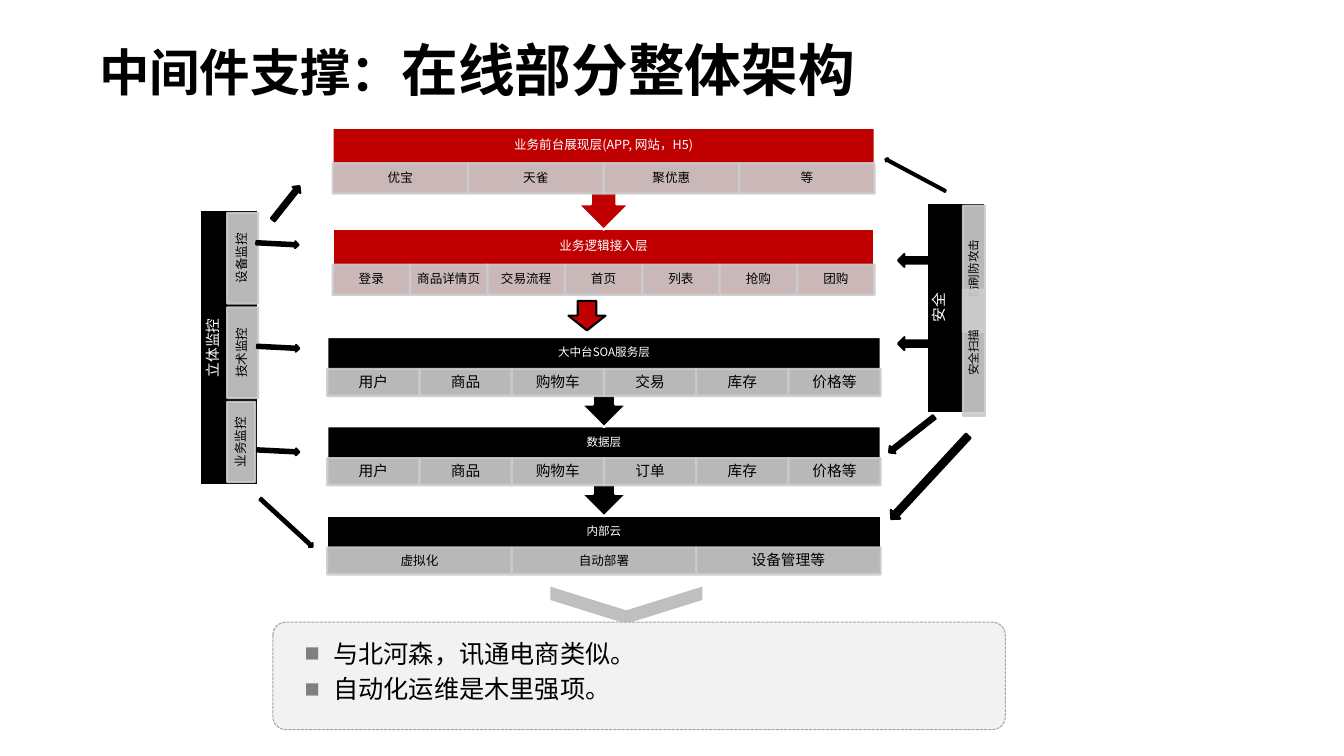
from pptx import Presentation
from pptx.dml.color import RGBColor
from pptx.enum.dml import MSO_LINE
from pptx.enum.shapes import MSO_SHAPE
from pptx.enum.text import MSO_ANCHOR, MSO_AUTO_SIZE, PP_ALIGN
from pptx.oxml.ns import qn
from pptx.util import Inches, Pt
from lxml.etree import SubElement

COLORS = {"black": "000000", "white": "FFFFFF", "red": "C00000", "cell": "CCCCCC",
          "chevron": "BFBFBF", "panel": "F2F2F2", "dash": "A6A6A6", "bullet": "808080"}
NOTO, CABIN = "Noto Sans CJK SC", "Cabin"

TITLE = [("中间件支撑：", 48), ("在线部分整体架构", 54)]
NOTES = ["与北河森，讯通电商类似。", "自动化运维是木里强项。"]

STYLES = {
    "red": dict(left=4.4, width=7.17, header=0.47, cell=0.4, title_size=12, font=NOTO),
    "black": dict(left=4.33, width=7.32, header=0.42, cell=0.36, title_size=11, font=CABIN),
}
LAYERS = [
    ("内部云", "black", CABIN, 6.82, 0.78, False,
     [("虚拟化", 12), ("自动部署", 12), ("设备管理等", 14)]),
    ("数据层", "black", CABIN, 5.64, 1.19, True,
     [(name, 14) for name in ("用户", "商品", "购物车", "订单", "库存", "价格等")]),
    ("大中台SOA服务层", "black", NOTO, 4.46, 1.19, True,
     [(name, 14) for name in ("用户", "商品", "购物车", "交易", "库存", "价格等")]),
    ("业务逻辑接入层", "red", NOTO, 3.03, 0.88, False,
     [(name, 12) for name in ("登录", "商品详情页", "交易流程", "首页", "列表", "抢购", "团购")]),
    ("业务前台展现层(APP, 网站，H5)", "red", NOTO, 1.69, 1.35, True,
     [(name, 12) for name in ("优宝", "天雀", "聚优惠", "等")]),
]
SIDES = [
    ("安全", (11.26, 3.69, 2.77, 0.77), (11.05, 3.86, 2.77, 0.42),
     [("防刷防攻击", (12.05, 3.41, 1.67, 0.29), 11), ("安全扫描", (12.05, 4.52, 1.67, 0.29), 11)]),
    ("立体监控", (1.22, 4.21, 3.63, 0.77), (1.01, 4.39, 3.63, 0.42),
     [("设备监控", (2.61, 3.21, 1.2, 0.41), 12), ("技术监控", (2.61, 4.46, 1.2, 0.41), 12),
      ("业务监控", (2.66, 5.66, 1.06, 0.37), 12)]),
]
ARROWS = [
    ((11.88, 4.46, 0.39, 0.17), 0), ((11.88, 3.36, 0.39, 0.17), 0),
    ((3.5, 2.62, 0.57, 0.13), 128.4), ((3.39, 3.18, 0.56, 0.09), 182.9),
    ((3.4, 4.55, 0.56, 0.09), 182.9), ((3.4, 5.92, 0.56, 0.09), 182.9),
    ((3.32, 6.88, 0.94, 0.07), 222.5), ((11.68, 5.69, 0.76, 0.12), 321.9),
    ((11.55, 6.23, 1.5, 0.17), 312.8), ((11.66, 2.29, 0.9, 0.05), 28.1),
]

deck = Presentation()
deck.slide_width, deck.slide_height = Inches(17.78), Inches(10)
page = deck.slides.add_slide(deck.slide_layouts[1])


def color(name):
    return RGBColor.from_string(COLORS[name])


def place(shape, area):
    shape.left, shape.top, shape.width, shape.height = map(Inches, area)


def write(para, text, size, font=CABIN, ink="black", bold=False):
    span = para.add_run()
    span.text = text
    span.font.size, span.font.name, span.font.bold = Pt(size), font, bold
    span.font.color.rgb = color(ink)
    SubElement(span.font._element, qn("a:ea")).set("typeface", font)


def label(shape, text, size, inset=(0.09, 0.02), **style):
    frame = shape.text_frame
    frame.word_wrap, frame.vertical_anchor = True, MSO_ANCHOR.MIDDLE
    frame.margin_left = frame.margin_right = Inches(inset[0])
    frame.margin_top = frame.margin_bottom = Inches(inset[1])
    para = frame.paragraphs[0]
    para.alignment, para.line_spacing = PP_ALIGN.CENTER, 0.9
    write(para, text, size, **style)


def text_box(area, text, size, rotation=0, **style):
    box = page.shapes.add_textbox(*map(Inches, area))
    box.rotation = rotation
    label(box, text, size, **style)


def draw(kind, area, fill, line=None, weight=2, rotation=0, alpha=None):
    shape = page.shapes.add_shape(kind, *map(Inches, area))
    shape.shadow.inherit = False
    shape.rotation = rotation
    shape.fill.solid()
    shape.fill.fore_color.rgb = color(fill)
    if line:
        shape.line.color.rgb = color(line)
        shape.line.width = Pt(weight)
    else:
        shape.line.fill.background()
    if alpha:
        for tint in shape.element.spPr.iter(qn("a:srgbClr")):
            SubElement(tint, qn("a:alpha")).set("val", str(alpha * 1000))
    return shape


def draw_cell(area, text, size, rotation=0, font=CABIN):
    cell = draw(MSO_SHAPE.RECTANGLE, area, "cell", "cell", rotation=rotation, alpha=90)
    label(cell, text, size, font=font)


def draw_layer(text, theme, title_font, top, height, has_arrow, cells):
    style = STYLES[theme]
    left, width, header = style["left"], style["width"], style["header"]
    kind = MSO_SHAPE.UP_ARROW_CALLOUT if has_arrow else MSO_SHAPE.RECTANGLE
    draw(kind, (left, top, width, height), theme, "white", rotation=180 if has_arrow else 0)
    text_box((left, top, width, header), text, style["title_size"],
             inset=(0.09, 0.09), font=title_font, ink="white")
    step = width / len(cells)
    for column, (name, size) in enumerate(cells):
        draw_cell((left + column * step, top + header, step, style["cell"]),
                  name, size, font=style["font"])


title = page.shapes.title
place(title, (1.25, 0, 15.24, 1.42))
frame = title.text_frame
frame.auto_size, frame.vertical_anchor = MSO_AUTO_SIZE.NONE, MSO_ANCHOR.BOTTOM
frame.margin_left = frame.margin_right = frame.margin_top = frame.margin_bottom = Inches(0.06)
frame.paragraphs[0].alignment = PP_ALIGN.LEFT
for text, size in TITLE:
    write(frame.paragraphs[0], text, size, font=NOTO, bold=True)

for layer in LAYERS:
    draw_layer(*layer)
draw(MSO_SHAPE.LEFT_ARROW, (7.57, 3.93, 0.39, 0.49), "red", "black", rotation=270)

for text, block, title_area, cells in SIDES:
    draw(MSO_SHAPE.RECTANGLE, block, "black", "white", rotation=270)
    text_box(title_area, text, 14, rotation=270, inset=(0.06, 0.06), ink="white")
    for name, area, size in cells:
        draw_cell(area, name, size, rotation=270)

for area, angle in ARROWS:
    draw(MSO_SHAPE.LEFT_ARROW, area, "black", "black", rotation=angle)

chevron = draw(MSO_SHAPE.CHEVRON, (8.04, 7, 0.49, 2.01), "chevron", rotation=90)
chevron.adjustments[0] = 0.64
panel = draw(MSO_SHAPE.ROUNDED_RECTANGLE, (3.61, 8.23, 9.69, 1.42), "panel", "dash", weight=1)
panel.adjustments[0] = 0.12
panel.line.dash_style = MSO_LINE.SQUARE_DOT

body = page.placeholders[1]
place(body, (3.93, 8.39, 9.07, 1.08))
page.shapes.element.append(body.element)
frame = body.text_frame
frame.auto_size, frame.vertical_anchor = MSO_AUTO_SIZE.NONE, MSO_ANCHOR.TOP
for row, text in enumerate(NOTES):
    para = frame.add_paragraph() if row else frame.paragraphs[0]
    para.space_before = Pt(5)
    write(para, text, 24, font=NOTO)
    props = para._p.get_or_add_pPr()
    props.set("marL", str(Inches(0.38)))
    props.set("indent", str(-Inches(0.38)))
    tint = SubElement(props, qn("a:buClr"))
    SubElement(tint, qn("a:srgbClr")).set("val", COLORS["bullet"])
    SubElement(props, qn("a:buChar")).set("char", "■")

deck.save("out.pptx")
